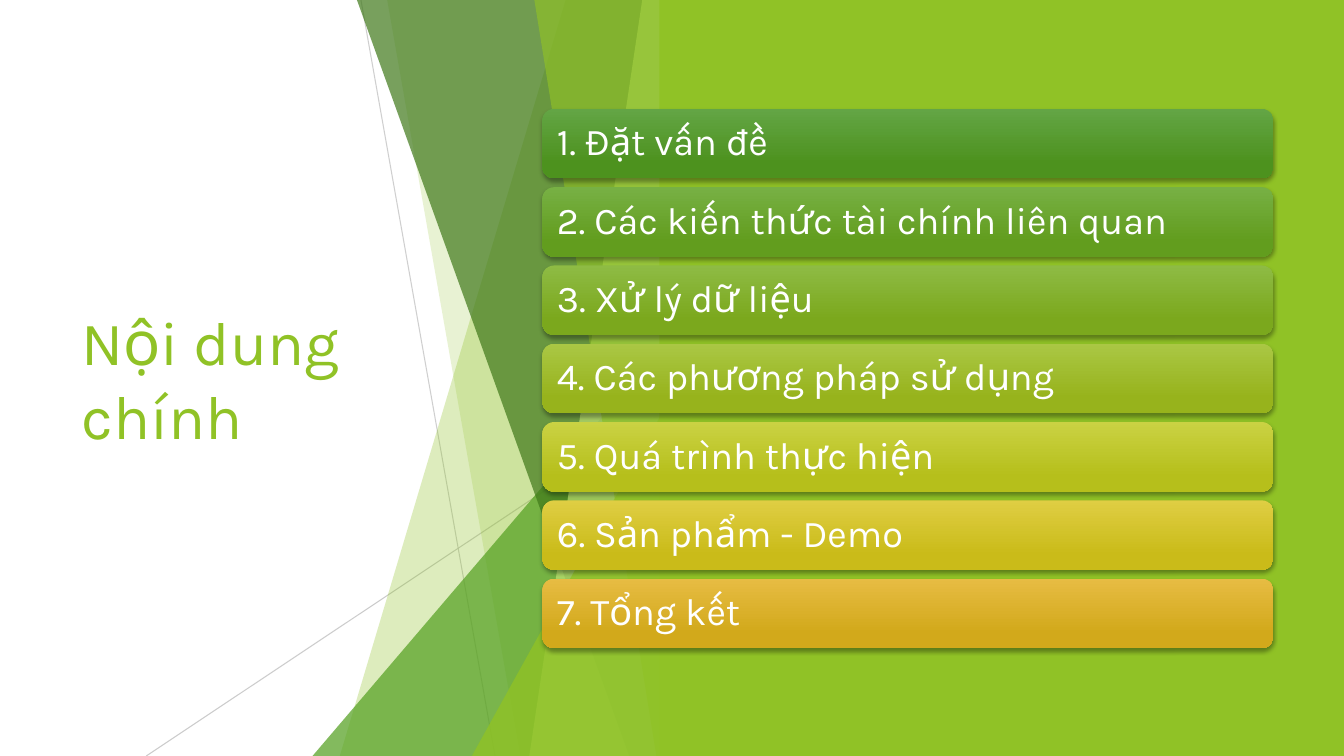
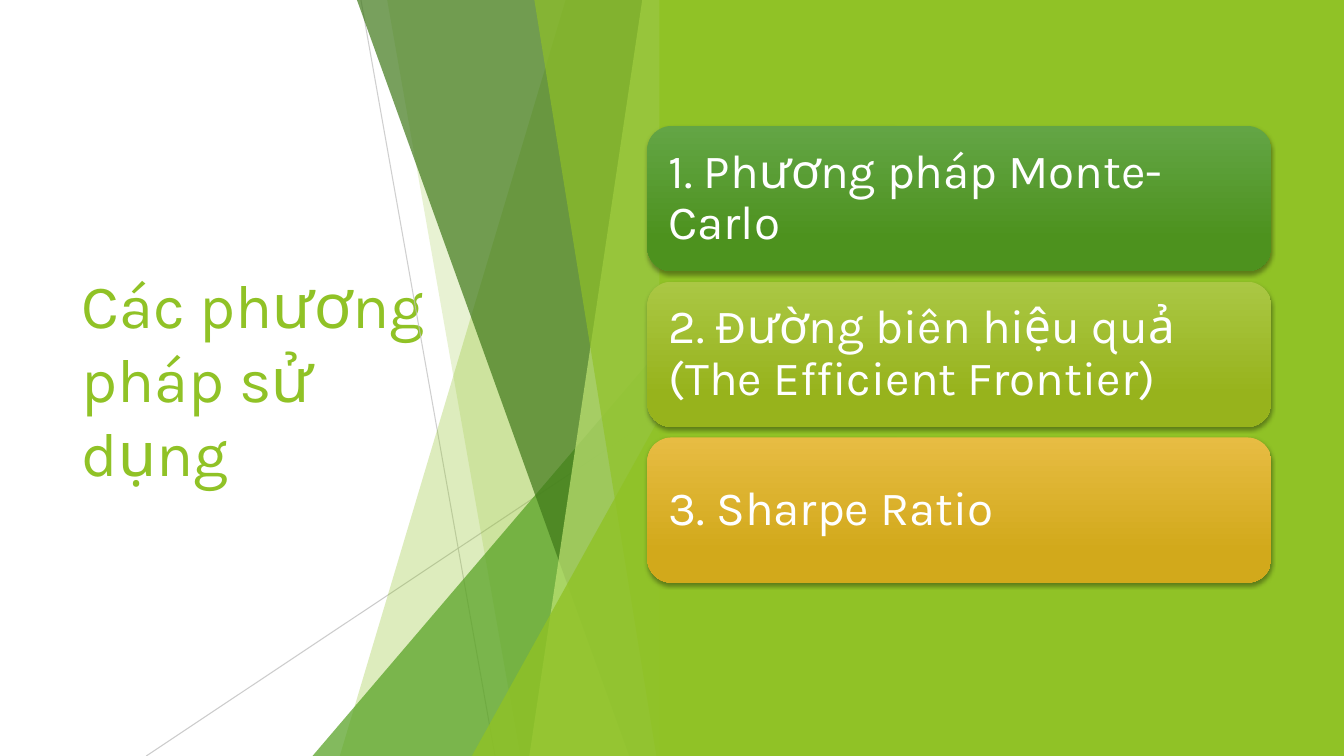
from lxml import etree
from pptx import Presentation
from pptx import util as u
from pptx.dml.color import RGBColor
from pptx.enum import shapes, text
from pptx.oxml.ns import qn

WIDTH, HEIGHT = 13.33, 7.5
FACET_EDGE = 6.66  # right side shared by all translucent facets
PANEL_LEFT = 6.54

# Card gradients, top colour and bottom colour
GREEN = ("63A545", "4D921E")
LEAF = ("77B044", "629D1E")
GRASS = ("8EBB44", "7BA81D")
LIME = ("AAC744", "97B31C")
OLIVE = ("CAD243", "B6BF1B")
YELLOW = ("DFCE43", "CABB19")
AMBER = ("E7BC43", "D2A91B")


def colour(value):
    return RGBColor.from_string(value)


def add_child(parent, tag, **attributes):
    child = etree.SubElement(parent, qn(tag))
    for name, value in attributes.items():
        child.set(name, str(value))
    return child


def set_opacity(shape, percent):
    tint = next(shape._element.spPr.iter(qn("a:srgbClr")))
    add_child(tint, "a:alpha", val=percent * 1000)


def write(frame, words, size, tint, inset=None, spacing=None):
    frame.word_wrap = True
    frame.vertical_anchor = text.MSO_ANCHOR.MIDDLE
    if inset is not None:
        frame.margin_left = frame.margin_right = u.Inches(inset)
        frame.margin_top = frame.margin_bottom = u.Inches(inset)
    para = frame.paragraphs[0]
    para.alignment = text.PP_ALIGN.LEFT
    para.line_spacing = spacing
    span = para.add_run()
    span.text = words
    span.font.name = Deck.font
    span.font.size = u.Pt(size)
    span.font.color.rgb = colour(tint)


class Deck:
    font = "Karla"
    accent = "90C226"
    white = "FFFFFF"

    def __init__(self):
        self.deck = Presentation()
        self.deck.slide_width = u.Inches(WIDTH)
        self.deck.slide_height = u.Inches(HEIGHT)
        self.page = None
        self.group = None

    def new_page(self, title):
        self.page = self.deck.slides.add_slide(self.deck.slide_layouts[6])
        self.page.background.fill.solid()
        self.page.background.fill.fore_color.rgb = colour(self.white)
        self.title(title)
        self.backdrop()

    def title(self, words):
        box = self.page.shapes.add_textbox(
            u.Inches(0.71), u.Inches(1.51), u.Inches(3.88), u.Inches(4.48))
        write(box.text_frame, words, size=44, tint=self.accent)

    def paint(self, shape, tint, opacity=100):
        shape.shadow.inherit = False
        shape.fill.solid()
        shape.fill.fore_color.rgb = colour(tint)
        shape.line.fill.background()
        if opacity < 100:
            set_opacity(shape, opacity)

    def hairline(self, x1, y1, x2, y2, opacity):
        line = self.group.shapes.add_connector(
            shapes.MSO_CONNECTOR.STRAIGHT,
            u.Inches(x1), u.Inches(y1), u.Inches(x2), u.Inches(y2))
        line.line.color.rgb = colour("BFBFBF")
        line.line.width = u.Pt(0.75)
        set_opacity(line, opacity)
        add_child(line._element.spPr, "a:effectLst")

    def facet(self, top_x, bottom_x, tint, opacity):
        """Band from a slanted left side to the common right edge."""
        corners = [(top_x, 0), (FACET_EDGE, 0), (FACET_EDGE, HEIGHT), (bottom_x, HEIGHT)]
        points = [(u.Inches(x), u.Inches(y)) for x, y in corners]
        builder = self.group.shapes.build_freeform(*points[0])
        builder.add_line_segments(points[1:], close=True)
        self.paint(builder.convert_to_shape(), tint, opacity)

    def wedge(self, left, top, tint, opacity):
        """Right triangle standing on the bottom of the slide."""
        shape = self.group.shapes.add_shape(
            shapes.MSO_SHAPE.ISOSCELES_TRIANGLE, u.Inches(left), u.Inches(top),
            u.Inches(FACET_EDGE - left), u.Inches(HEIGHT - top))
        shape.adjustments[0] = 1
        self.paint(shape, tint, opacity)

    def backdrop(self):
        # Thin lines and translucent facets
        self.group = self.page.shapes.add_group_shape()
        self.hairline(3.58, 0, 4.91, HEIGHT, opacity=75)
        self.hairline(FACET_EDGE, 4.03, 1.45, HEIGHT, opacity=80)
        self.facet(5.61, 3.37, self.accent, 30)
        self.facet(3.84, 5.16, self.accent, 20)
        self.wedge(3.1, 3.33, "54A021", 72)
        self.facet(3.54, 6.24, "3F7819", 70)
        self.facet(6.37, 5.25, "C0E474", 70)
        self.facet(5.3, 6.51, self.accent, 65)
        self.wedge(4.68, 3.93, self.accent, 80)
        # Solid right panel
        panel = self.page.shapes.add_shape(
            shapes.MSO_SHAPE.RECTANGLE, u.Inches(PANEL_LEFT), 0,
            u.Inches(WIDTH - PANEL_LEFT), u.Inches(HEIGHT))
        self.paint(panel, self.accent)

    def card(self, words, gradient, left, top, width, height, size, inset):
        card = self.page.shapes.add_shape(
            shapes.MSO_SHAPE.ROUNDED_RECTANGLE,
            u.Inches(left), u.Inches(top), u.Inches(width), u.Inches(height))
        card.line.fill.background()
        card.fill.gradient()
        card.fill.gradient_angle = 270
        for stop, tint, position in zip(card.fill.gradient_stops, gradient, (0, 0.78)):
            stop.color.rgb = colour(tint)
            stop.position = position
        # Soft shadow just below the card
        card.shadow.inherit = False
        effects = card._element.spPr.find(qn("a:effectLst"))
        shadow = add_child(effects, "a:outerShdw", blurRad=u.Pt(3), dist=u.Pt(2),
                           dir=5400000, rotWithShape=0)
        tint = add_child(shadow, "a:srgbClr", val="000000")
        add_child(tint, "a:alpha", val=35000)
        write(card.text_frame, words, size, self.white, inset, spacing=0.9)

    def card_list(self, items, first_top, last_top, **layout):
        pitch = (last_top - first_top) / (len(items) - 1)
        for index, (words, gradient) in enumerate(items):
            self.card(words, gradient, top=first_top + index * pitch, **layout)


def main():
    show = Deck()

    # Contents
    show.new_page("Nội dung chính")
    show.card_list(
        [("1. Đặt vấn đề", GREEN),
         ("2. Các kiến thức tài chính liên quan", LEAF),
         ("3. Xử lý dữ liệu", GRASS),
         ("4. Các phương pháp sử dụng", LIME),
         ("5. Quá trình thực hiện", OLIVE),
         ("6. Sản phẩm - Demo", YELLOW),
         ("7. Tổng kết", AMBER)],
        first_top=1.08, last_top=5.74, left=5.38, width=7.25, height=0.69,
        size=27, inset=0.11)

    # Methods
    show.new_page("Các phương pháp sử dụng")
    show.card_list(
        [("1. Phương pháp Monte-Carlo", GREEN),
         ("2. Đường biên hiệu quả (The Efficient Frontier)", LIME),
         ("3. Sharpe Ratio", AMBER)],
        first_top=1.25, last_top=4.34, left=6.42, width=6.19, height=1.44,
        size=34, inset=0.14)

    show.deck.save("out.pptx")


if __name__ == "__main__":
    main()
